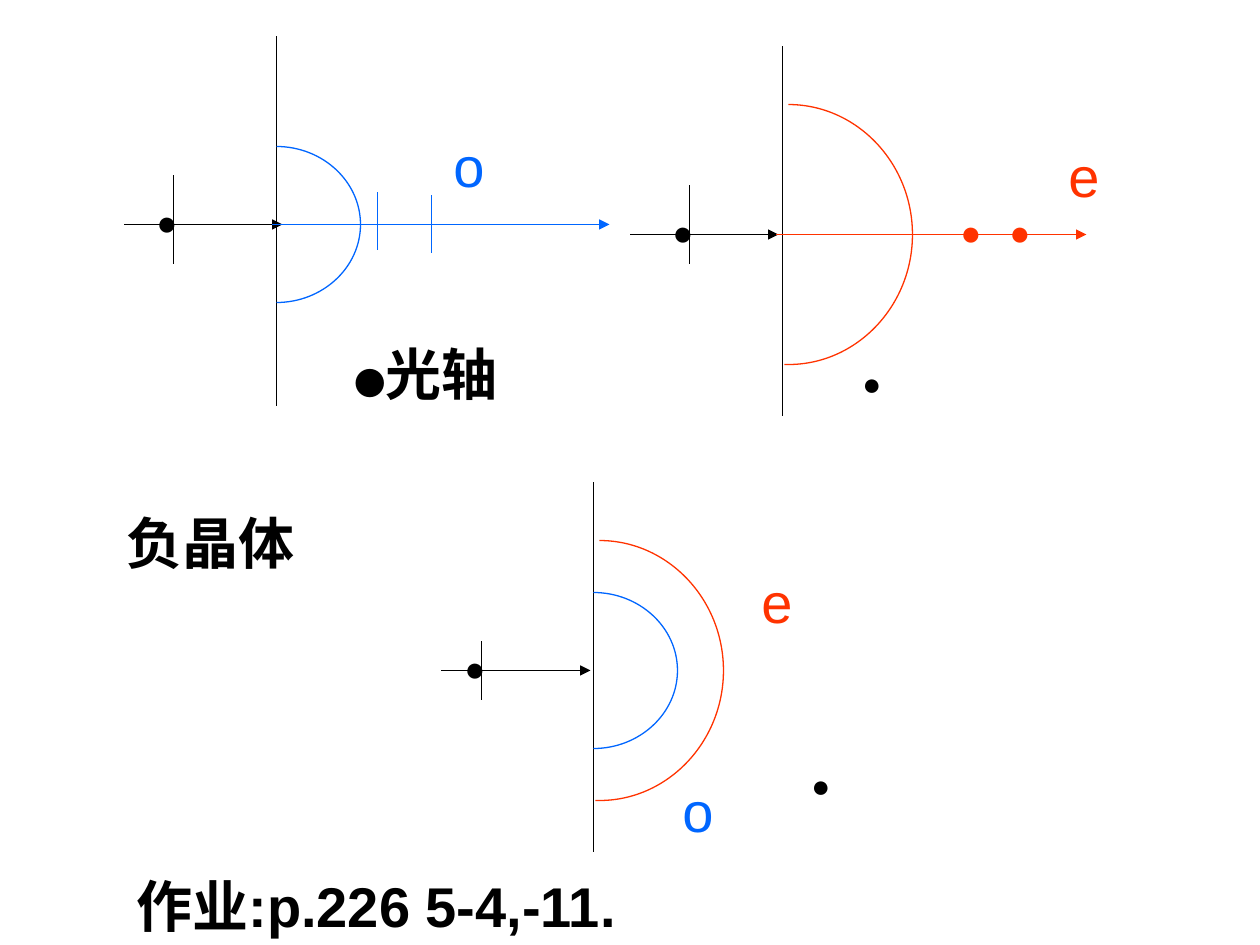
import itertools

import pptx
import pptx.dml.color
import pptx.enum.shapes
import pptx.enum.text
import pptx.oxml
import pptx.oxml.ns
import pptx.util

SCALE = 914400 / 126
PIXEL_CENTER = 0.5
CURVE = 0.55
BLACK, BLUE, RED = "000000", "0066FF", "FF3300"


def px(value):
    return pptx.util.Emu(round(value * SCALE))


def centered(value):
    return px(value + PIXEL_CENTER)


def color(hex_string):
    return pptx.dml.color.RGBColor.from_string(hex_string)


def style_line(shape, stroke):
    shape.line.color.rgb = color(stroke)
    shape.line.width = pptx.util.Pt(0.75)


def add_line(slide, start, end, stroke=BLACK, arrow=False):
    connector = slide.shapes.add_connector(
        pptx.enum.shapes.MSO_CONNECTOR.STRAIGHT, *map(centered, start + end))
    style_line(connector, stroke)
    namespace = pptx.oxml.ns.nsdecls("a")
    properties = connector._element.spPr
    if arrow:
        properties.find(pptx.oxml.ns.qn("a:ln")).append(
            pptx.oxml.parse_xml(f'<a:tailEnd {namespace} type="triangle"/>'))
    properties.append(pptx.oxml.parse_xml(f"<a:effectLst {namespace}/>"))


def curve_segments(shape, count):
    line_tag = pptx.oxml.ns.qn("a:lnTo")
    segments = list(shape._element.iter(line_tag))
    for group in itertools.batched(segments[:count * 3], 3) if hasattr(
            itertools, "batched") else zip(*[iter(segments[:count * 3])] * 3):
        curve = pptx.oxml.parse_xml(
            f'<a:cubicBezTo {pptx.oxml.ns.nsdecls("a")}/>')
        group[0].addprevious(curve)
        for segment in group:
            curve.append(segment[0])
            segment.getparent().remove(segment)


def add_wavefront(slide, center, radii, stroke, overrun=0):
    (x, y), (width, height) = center, radii
    unit_points = [(0, -1), (CURVE, -1), (1, -CURVE), (1, 0),
                   (1, CURVE), (CURVE, 1), (0, 1)]
    points = [(centered(x + width * across), centered(y + height * down))
              for across, down in unit_points]
    if overrun:
        points.append((centered(x - overrun), centered(y + height)))
    builder = slide.shapes.build_freeform(*points[0])
    builder.add_line_segments(points[1:], close=False)
    shape = builder.convert_to_shape()
    curve_segments(shape, 2)
    shape.shadow.inherit = False
    shape.fill.background()
    style_line(shape, stroke)


def add_text(slide, box, runs, fill=BLACK, wrap=False, middle=False):
    text_box = slide.shapes.add_textbox(*map(px, box))
    frame = text_box.text_frame
    frame.word_wrap = wrap
    frame.auto_size = pptx.enum.text.MSO_AUTO_SIZE.SHAPE_TO_FIT_TEXT
    if middle:
        frame.vertical_anchor = pptx.enum.text.MSO_ANCHOR.MIDDLE
    for text, size, bold in runs:
        run = frame.paragraphs[0].add_run()
        run.text = text
        run.font.name = "Arial"
        run.font.size = pptx.util.Pt(size)
        run.font.bold = bold
        run.font.color.rgb = color(fill)


def add_axis_dot(slide, left, top):
    add_text(slide, (left, top, 57, 50), [("●", 18, False)])


def add_ray_label(slide, left, top, letter, fill):
    add_text(slide, (left, top, 44, 79), [(letter, 32, False)], fill, wrap=True)


def add_incident_ray(slide, x, y, tip, tick, tick_top, tick_bottom):
    add_line(slide, (x, y - 188), (x, y + 182))
    add_line(slide, (x - 152, y), (tip, y), arrow=True)
    add_line(slide, (tick, tick_top), (tick, tick_bottom))
    add_text(slide, (tick - 29, y - 30, 69, 54), [("●", 20, False)], wrap=True)


def add_o_wave(slide, x, y):
    add_wavefront(slide, (x, y), (84, 78), BLUE)


def add_e_wave(slide, x, y):
    add_wavefront(slide, (x + 6, y), (124, 130), RED, overrun=4)


def add_ordinary_panel(slide):
    x, y = 276, 224
    add_incident_ray(slide, x, y, 282, 173, 175, 264)
    add_o_wave(slide, x, y)
    add_line(slide, (272, y), (609, y), BLUE, arrow=True)
    for tick, top in ((377, 192), (431, 195)):
        add_line(slide, (tick, top), (tick, top + 58), BLUE)
    add_ray_label(slide, 441, 125, "o", BLUE)
    add_text(slide, (342, 333, 171, 81), [("●", 18, False), ("光轴", 32, True)])


def add_extraordinary_panel(slide):
    x, y = 782, 234
    add_incident_ray(slide, x, y, 778, 689, 185, 264)
    add_e_wave(slide, x, y)
    add_line(slide, (776, y), (1086, y), RED, arrow=True)
    for left in (948, 997):
        add_text(slide, (left, 204, 60, 54), [("●", 20, False)], RED)
    add_ray_label(slide, 1056, 135, "e", RED)
    add_axis_dot(slide, 850, 358)


def add_combined_panel(slide):
    x, y = 593, 670
    add_incident_ray(slide, x, y, 590, 481, 641, 700)
    add_o_wave(slide, x, y)
    add_e_wave(slide, x, y)
    add_ray_label(slide, 749, 561, "e", RED)
    add_ray_label(slide, 670, 770, "o", BLUE)
    add_axis_dot(slide, 799, 760)


def main():
    presentation = pptx.Presentation()
    presentation.slide_width, presentation.slide_height = px(1260), px(945)
    slide = presentation.slides.add_slide(presentation.slide_layouts[6])
    add_combined_panel(slide)
    add_ordinary_panel(slide)
    add_extraordinary_panel(slide)
    add_text(slide, (114, 502, 193, 79), [("负晶体", 32, True)])
    add_text(slide, (124, 866, 745, 79), [("作业:p.226 5-4,-11.", 32, True)],
             wrap=True, middle=True)
    presentation.save("out.pptx")


if __name__ == "__main__":
    main()
